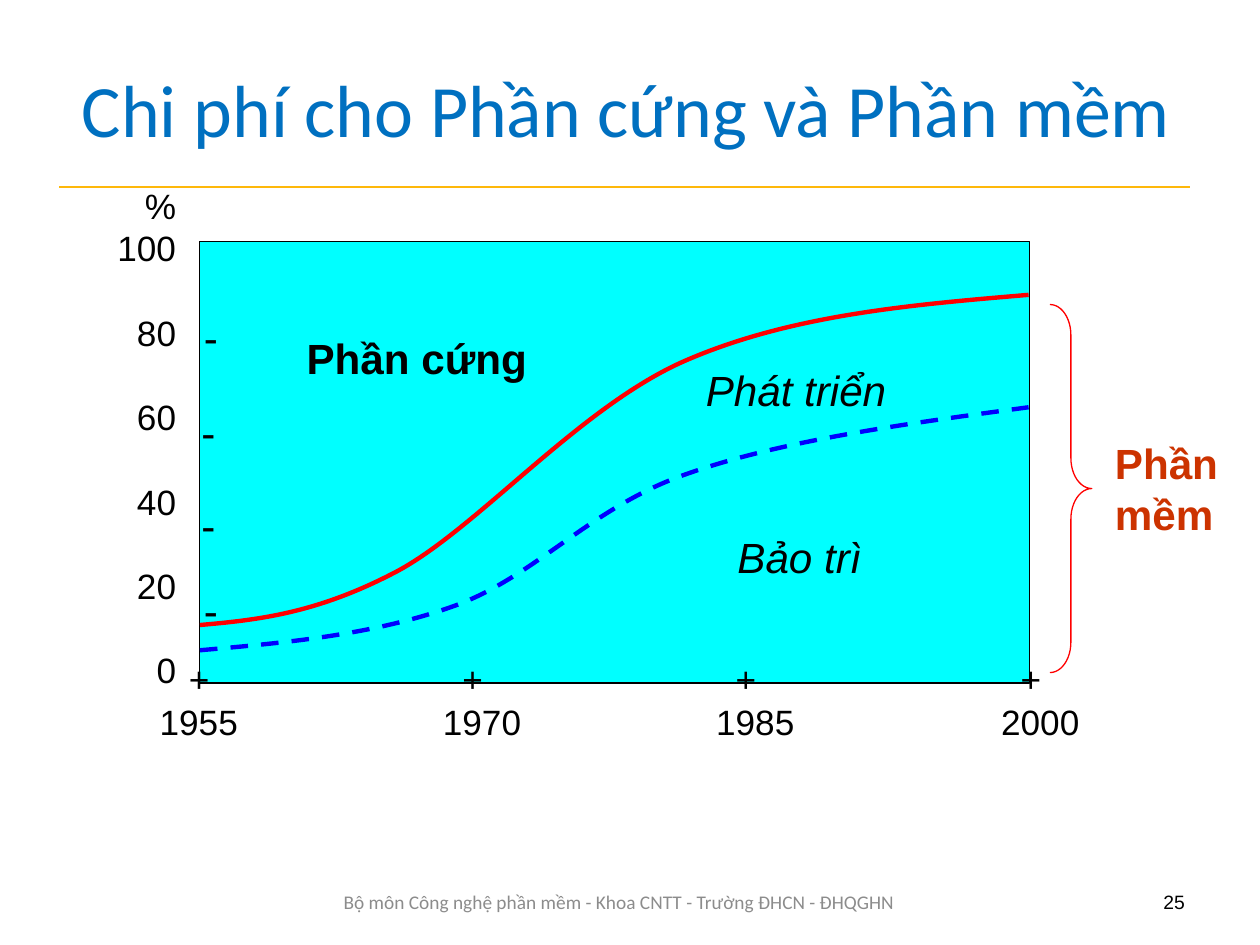
"""Build a slide showing how hardware and software costs shifted from 1955 to 2000."""
from dataclasses import dataclass

from lxml import etree
from pptx import Presentation
from pptx.dml.color import RGBColor
from pptx.enum.dml import MSO_LINE
from pptx.enum.shapes import MSO_CONNECTOR, MSO_SHAPE
from pptx.enum.text import MSO_ANCHOR, PP_ALIGN
from pptx.oxml.ns import qn
from pptx.shapes.base import BaseShape
from pptx.shapes.shapetree import SlideShapes
from pptx.util import Pt

DASH = MSO_LINE.DASH
STRAIGHT = MSO_CONNECTOR.STRAIGHT
RECTANGLE, RIGHT_BRACE = MSO_SHAPE.RECTANGLE, MSO_SHAPE.RIGHT_BRACE
TOP, MIDDLE = MSO_ANCHOR.TOP, MSO_ANCHOR.MIDDLE
LEFT, CENTER, RIGHT = PP_ALIGN.LEFT, PP_ALIGN.CENTER, PP_ALIGN.RIGHT


@dataclass(frozen=True)
class Theme:
    """Fonts, colours and sizes of the slide."""
    heading_font: str = "Calibri"
    body_font: str = "Arial"
    title: str = "0070C0"
    rule: str = "FEB80A"
    footer: str = "8C8C8C"
    ink: str = "000000"
    plot: str = "00FFFF"
    hardware_curve: str = "FF0000"
    maintenance_curve: str = "0000FF"
    software: str = "CC3300"
    title_size: float = 42
    label_size: float = 24
    axis_size: float = 20
    footer_size: float = 11
    thin: float = 0.75
    medium: float = 1
    thick: float = 2.5
    leading: float = 1.2


THEME = Theme()


@dataclass(frozen=True)
class Line:
    """One paragraph of a label."""
    text: str
    indent: float = 0
    before: float = 0


@dataclass(frozen=True)
class Label:
    """A text box with its style."""
    lines: tuple[Line, ...]
    left: float
    top: float
    width: float
    height: float
    size: float = THEME.label_size
    color: str = THEME.ink
    font: str = THEME.body_font
    align: PP_ALIGN = LEFT
    anchor: MSO_ANCHOR = TOP
    bold: bool = False
    italic: bool = False


@dataclass(frozen=True)
class Curve:
    """A chain of cubic Bézier segments."""
    controls: tuple[tuple[float, float], ...]
    color: str
    dashed: bool = False


CURVES = (
    Curve(((113.8, 370.1), (162.7, 365.8), (212.4, 361.4), (258.5, 344.9),
           (304.6, 328.3), (336.2, 288.7), (390.2, 270), (445, 250.6),
           (515.5, 241.2), (585.4, 231.8)), THEME.maintenance_curve, True),
    Curve(((113.8, 355.7), (146.9, 352.8), (180.7, 349.2), (226.8, 324.7),
           (272.9, 299.5), (330.5, 231.1), (390.2, 205.2), (450, 179.3),
           (517.7, 173.5), (585.4, 167.8)), THEME.hardware_curve),
)

PERCENT_LINES = (Line("%"), Line("100")) + tuple(
    Line(str(percent), before=THEME.axis_size * THEME.leading)
    for percent in range(80, -1, -20))
PERCENT_TICKS = ((109, 329), (107.6, 280.8), (107.6, 227.5), (109, 173.5))
YEARS = (("1955", 83.8, 16.7), ("1970", 245, 11.1),
         ("1985", 400.5, 11.1), ("2000", 562.7, 11.1))

LABELS = (
    Label((Line("Chi phí cho Phần cứng và Phần mềm"),), 33.84, 16.56, 645.12, 90,
          THEME.title_size, THEME.title, THEME.heading_font, CENTER, MIDDLE),
    Label((Line("Bộ môn Công nghệ phần mềm - Khoa CNTT - Trường ĐHCN - ĐHQGHN"),),
          178.56, 498.7, 347.76, 28.8, THEME.footer_size, THEME.footer,
          THEME.heading_font, CENTER, MIDDLE),
    Label((Line("25"),), 627.4, 500.8, 54, 25.2, THEME.footer_size,
          align=RIGHT, anchor=MIDDLE),
    Label(PERCENT_LINES, 55, 101.5, 52.3, 298, THEME.axis_size, align=RIGHT),
    *(Label((Line("-"),), left, top, 22.4, 36) for left, top in PERCENT_TICKS),
    *(Label((Line("+", indent), Line(year)), left, 370.8, 60.5, 55.4, THEME.axis_size)
      for year, left, indent in YEARS),
    Label((Line("Phần cứng"),), 167.4, 185.8, 142, 36, bold=True),
    Label((Line("Phát triển"),), 394.6, 203.8, 119, 36, italic=True),
    Label((Line("Bảo trì"),), 412.6, 298.8, 87, 36, italic=True),
    Label((Line("Phần"), Line("mềm")), 627.5, 245.5, 74.5, 65.5,
          color=THEME.software, bold=True),
)


def rgb(color: str) -> RGBColor:
    """Turn a hex string into a colour."""
    return RGBColor.from_string(color)


def outline(shape: BaseShape, color: str, weight: float) -> None:
    """Give a shape a plain line."""
    shape.line.color.rgb = rgb(color)
    shape.line.width = Pt(weight)


def draw_label(shapes: SlideShapes, label: Label) -> None:
    """Draw a text box, one paragraph per line."""
    box = shapes.add_textbox(Pt(label.left), Pt(label.top), Pt(label.width), Pt(label.height))
    frame = box.text_frame
    frame.word_wrap = True
    frame.vertical_anchor = label.anchor
    for index, line in enumerate(label.lines):
        paragraph = frame.add_paragraph() if index else frame.paragraphs[0]
        paragraph.alignment = label.align
        if label.anchor == TOP:
            paragraph.line_spacing = Pt(label.size * THEME.leading)
        if line.before:
            paragraph.space_before = Pt(line.before)
        if line.indent:
            paragraph._p.get_or_add_pPr().set("marL", str(Pt(line.indent)))
        run = paragraph.add_run()
        run.text = line.text
        run.font.name = label.font
        run.font.size = Pt(label.size)
        run.font.bold = label.bold
        run.font.italic = label.italic
        run.font.color.rgb = rgb(label.color)


def bend_segments(shape: BaseShape) -> None:
    """Merge each three straight segments into one cubic Bézier segment."""
    segments = list(shape._element.iter(qn("a:lnTo")))
    for start in range(0, len(segments), 3):
        bend = etree.Element(qn("a:cubicBezTo"))
        segments[start].addprevious(bend)
        for segment in segments[start:start + 3]:
            bend.append(segment[0])
            segment.getparent().remove(segment)


def draw_curve(shapes: SlideShapes, curve: Curve) -> None:
    """Draw an open curve."""
    first, *others = [(Pt(x), Pt(y)) for x, y in curve.controls]
    builder = shapes.build_freeform(*first)
    builder.add_line_segments(others, close=False)
    shape = builder.convert_to_shape()
    bend_segments(shape)
    shape.shadow.inherit = False
    shape.fill.background()
    outline(shape, curve.color, THEME.thick)
    if curve.dashed:
        shape.line.dash_style = DASH


def main() -> None:
    """Build and save the slide."""
    deck = Presentation()
    deck.slide_width, deck.slide_height = Pt(717.12), Pt(537.84)
    shapes = deck.slides.add_slide(deck.slide_layouts[6]).shapes

    title_rule = shapes.add_connector(STRAIGHT, Pt(33.84), Pt(106.3), Pt(677.52), Pt(106.3))
    outline(title_rule, THEME.rule, THEME.medium)
    etree.SubElement(title_rule._element.spPr, qn("a:effectLst"))

    plot = shapes.add_shape(RECTANGLE, Pt(113.76), Pt(137.4), Pt(472.32), Pt(251.28))
    plot.shadow.inherit = False
    plot.fill.solid()
    plot.fill.fore_color.rgb = rgb(THEME.plot)
    outline(plot, THEME.ink, THEME.thin)

    for curve in CURVES:
        draw_curve(shapes, curve)

    software_brace = shapes.add_shape(RIGHT_BRACE, Pt(597.6), Pt(173.3), Pt(23.8), Pt(209.5))
    software_brace.shadow.inherit = False
    software_brace.adjustments[0] = 0.73
    software_brace.fill.background()
    outline(software_brace, THEME.hardware_curve, THEME.thin)

    for label in LABELS:
        draw_label(shapes, label)
    deck.save("out.pptx")


if __name__ == "__main__":
    main()
